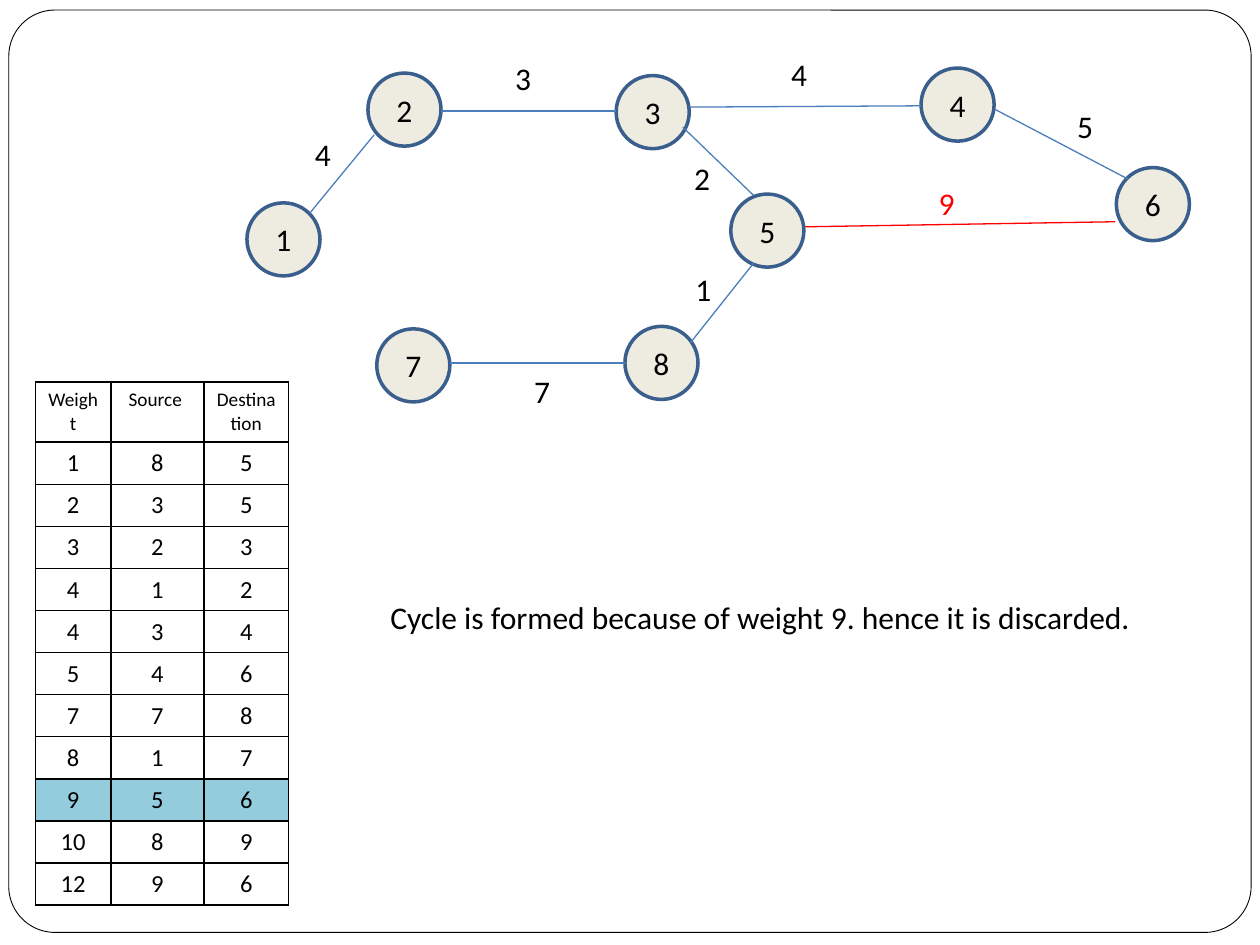
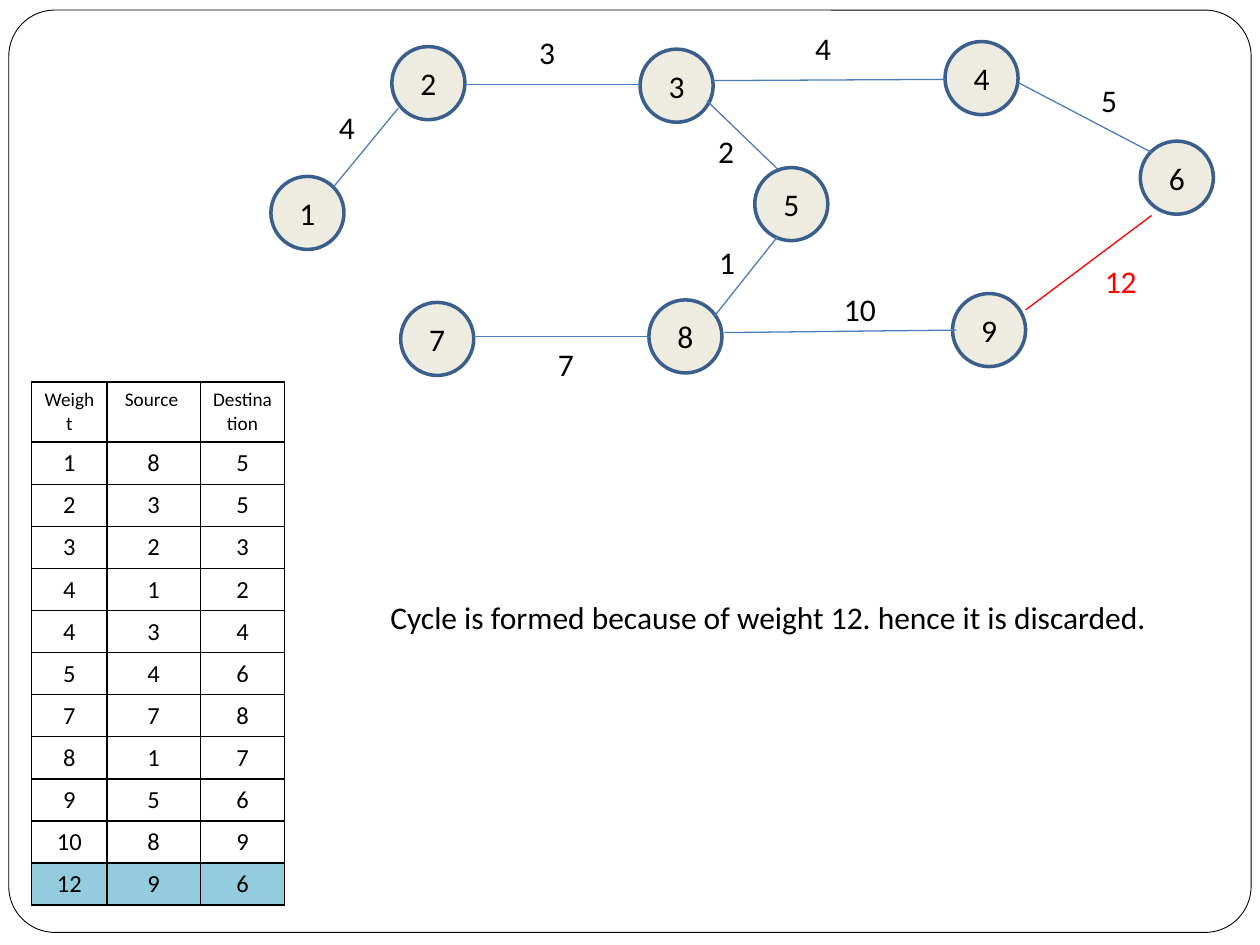
from pptx import Presentation
from pptx.dml.color import RGBColor
from pptx.enum.shapes import MSO_CONNECTOR as CONNECTOR, MSO_SHAPE as SHAPE
from pptx.enum.text import MSO_ANCHOR as ANCHOR, MSO_AUTO_SIZE as AUTO_SIZE, PP_ALIGN as ALIGN
from pptx.oxml import parse_xml
from pptx.oxml.ns import nsdecls
from pptx.util import Inches, Pt

BLACK, RED, EDGE_BLUE, RING_BLUE = "000000", "FF0000", "4B7EBC", "3A5F8C"
NODE_FILL, HIGHLIGHT = "EEECE1", "93CDDD"
NODE_SIZE = 0.58

NODES = {"8": (4.96, 2.59), "5": (5.8, 1.54), "3": (4.89, 0.6), "2": (2.92, 0.58),
         "1": (1.96, 1.61), "4": (7.31, 0.54), "6": (8.86, 1.33), "7": (2.99, 2.61)}
EDGES = [
    ("1", (5.48, 2.72), (5.98, 2.09), (5.42, 2.09)),
    ("2", (5.98, 1.55), (5.42, 1.01), (5.41, 1.21)),
    ("3", (3.5, 0.88), (4.89, 0.88), (3.99, 0.42)),
    ("4", (2.46, 1.69), (2.97, 1.07), (2.4, 1.02)),
    ("4", (5.47, 0.85), (7.31, 0.84), (6.18, 0.39)),
    ("5", (7.9, 0.87), (8.95, 1.42), (8.45, 0.8)),
    ("7", (3.57, 2.88), (4.96, 2.88), (4.14, 2.9)),
]
HEADINGS = ("Weight", "Source ", "Destination")
SORTED_EDGES = [(1, 8, 5), (2, 3, 5), (3, 2, 3), (4, 1, 2), (4, 3, 4), (5, 4, 6),
                (7, 7, 8), (8, 1, 7), (9, 5, 6), (10, 8, 9), (12, 9, 6)]
COLUMN_WIDTHS = (0.6, 0.74, 0.67)
HEADING_HEIGHT, ROW_HEIGHT = 0.48, 0.33


def rgb(value):
    """Turn a hex string into a colour."""
    return RGBColor.from_string(value)


def inches(*lengths):
    """Turn numbers into lengths in inches."""
    return [Inches(length) for length in lengths]


class GraphDeck:
    """Holds the shared style and the current slide."""

    def __init__(self):
        """Start an empty 10 by 7.5 inch deck."""
        self.deck = Presentation()
        self.deck.slide_width, self.deck.slide_height = inches(10, 7.5)
        self.font = {"name": "Calibri", "size": Pt(18)}

    def new_slide(self, shift=(0, 0)):
        """Add a framed slide whose graph is moved by shift."""
        self.shapes = self.deck.slides.add_slide(self.deck.slide_layouts[6]).shapes
        self.shift = shift
        self.frame()

    def moved(self, point):
        """Apply the graph shift to a point."""
        return inches(point[0] + self.shift[0], point[1] + self.shift[1])

    def fill_text(self, text_frame, text, color=BLACK, align=ALIGN.LEFT, **changes):
        """Put one paragraph in the shared font into a text frame."""
        paragraph = text_frame.paragraphs[0]
        paragraph.alignment = align
        run = paragraph.add_run()
        run.text = text
        for attribute, value in {**self.font, **changes}.items():
            setattr(run.font, attribute, value)
        run.font.color.rgb = rgb(color)

    def outline(self, shape, color, width):
        """Set the line of a shape or connector."""
        shape.line.color.rgb = rgb(color)
        shape.line.width = Pt(width)

    def frame(self):
        """Draw the rounded frame around the slide."""
        border = self.shapes.add_shape(SHAPE.ROUNDED_RECTANGLE, *inches(0.07, 0.08, 9.86, 7.32))
        border.adjustments[0] = 0.05
        border.shadow.inherit = False
        border.fill.background()
        self.outline(border, BLACK, 0.5)

    def node(self, name, place):
        """Draw a numbered graph node."""
        circle = self.shapes.add_shape(SHAPE.OVAL, *self.moved(place), *inches(NODE_SIZE, NODE_SIZE))
        circle.shadow.inherit = False
        circle.fill.solid()
        circle.fill.fore_color.rgb = rgb(NODE_FILL)
        self.outline(circle, RING_BLUE, 2)
        circle.text_frame.vertical_anchor = ANCHOR.MIDDLE
        self.fill_text(circle.text_frame, name, align=ALIGN.CENTER)

    def text(self, text, left, top, width, color=BLACK):
        """Place a line of text in a box that fits it."""
        box = self.shapes.add_textbox(left, top, *inches(width, 0.4)).text_frame
        for attribute, value in {"word_wrap": True, "auto_size": AUTO_SIZE.SHAPE_TO_FIT_TEXT}.items():
            setattr(box, attribute, value)
        self.fill_text(box, text, color)

    def edge(self, weight, start, end, label, line_color=EDGE_BLUE, text_color=BLACK):
        """Draw an edge and its weight."""
        line = self.shapes.add_connector(CONNECTOR.STRAIGHT, *self.moved(start), *self.moved(end))
        self.outline(line, line_color, 0.75)
        line._element.spPr.append(parse_xml(f"<a:effectLst {nsdecls('a')}/>"))
        self.text(weight, *self.moved(label), 0.31 if len(weight) == 1 else 0.5, text_color)

    def discarded_edge(self, *edge):
        """Draw an edge that closes a cycle."""
        self.edge(*edge, line_color=RED, text_color=RED)

    def graph(self):
        """Draw the nodes and edges common to the slides."""
        for name, place in NODES.items():
            self.node(name, place)
        for edge in EDGES:
            self.edge(*edge)

    def cell_borders(self, cell):
        """Give a cell thin black borders on all sides."""
        properties = cell._tc.get_or_add_tcPr()
        for position, side in enumerate(("lnL", "lnR", "lnT", "lnB")):
            properties.insert(position, parse_xml(
                f'<a:{side} {nsdecls("a")} w="{Pt(1)}"><a:solidFill>'
                f'<a:srgbClr val="{BLACK}"/></a:solidFill></a:{side}>'))

    def weight_table(self, left, discarded):
        """List the sorted edges and highlight the discarded weight."""
        rows = [HEADINGS, *SORTED_EDGES]
        height = HEADING_HEIGHT + ROW_HEIGHT * len(SORTED_EDGES)
        table = self.shapes.add_table(len(rows), len(HEADINGS),
                                      *inches(left, 3.03, sum(COLUMN_WIDTHS), height)).table
        table.first_row = table.horz_banding = False
        for column, width in zip(table.columns, COLUMN_WIDTHS):
            column.width = Inches(width)
        for index, values in enumerate(rows):
            table.rows[index].height = Inches(ROW_HEIGHT if index else HEADING_HEIGHT)
            for cell, value in zip(table.rows[index].cells, values):
                if values[0] == discarded:
                    cell.fill.solid()
                    cell.fill.fore_color.rgb = rgb(HIGHLIGHT)
                else:
                    cell.fill.background()
                self.cell_borders(cell)
                self.fill_text(cell.text_frame, str(value), align=ALIGN.CENTER,
                               size=Pt(14 if index else 11))

    def verdict(self, discarded, table_left):
        """Explain the discarded weight and show it in the table."""
        self.text(f"Cycle is formed because of weight {discarded}. hence it is discarded.",
                  *inches(3, 4.7), 6.5)
        self.weight_table(table_left, discarded)


def main():
    """Build both steps and save the deck."""
    steps = GraphDeck()

    steps.new_slide()
    steps.graph()
    steps.discarded_edge("9", (6.39, 1.8), (8.85, 1.76), (7.35, 1.41))
    steps.verdict(9, 0.28)

    steps.new_slide(shift=(0.19, -0.21))
    steps.graph()
    steps.node("9", (7.37, 2.54))
    steps.edge("10", (5.56, 2.85), (7.4, 2.83), (6.41, 2.46))
    steps.discarded_edge("12", (7.95, 2.67), (8.95, 1.92), (8.48, 2.24))
    steps.verdict(12, 0.25)

    steps.deck.save("out.pptx")


if __name__ == "__main__":
    main()
